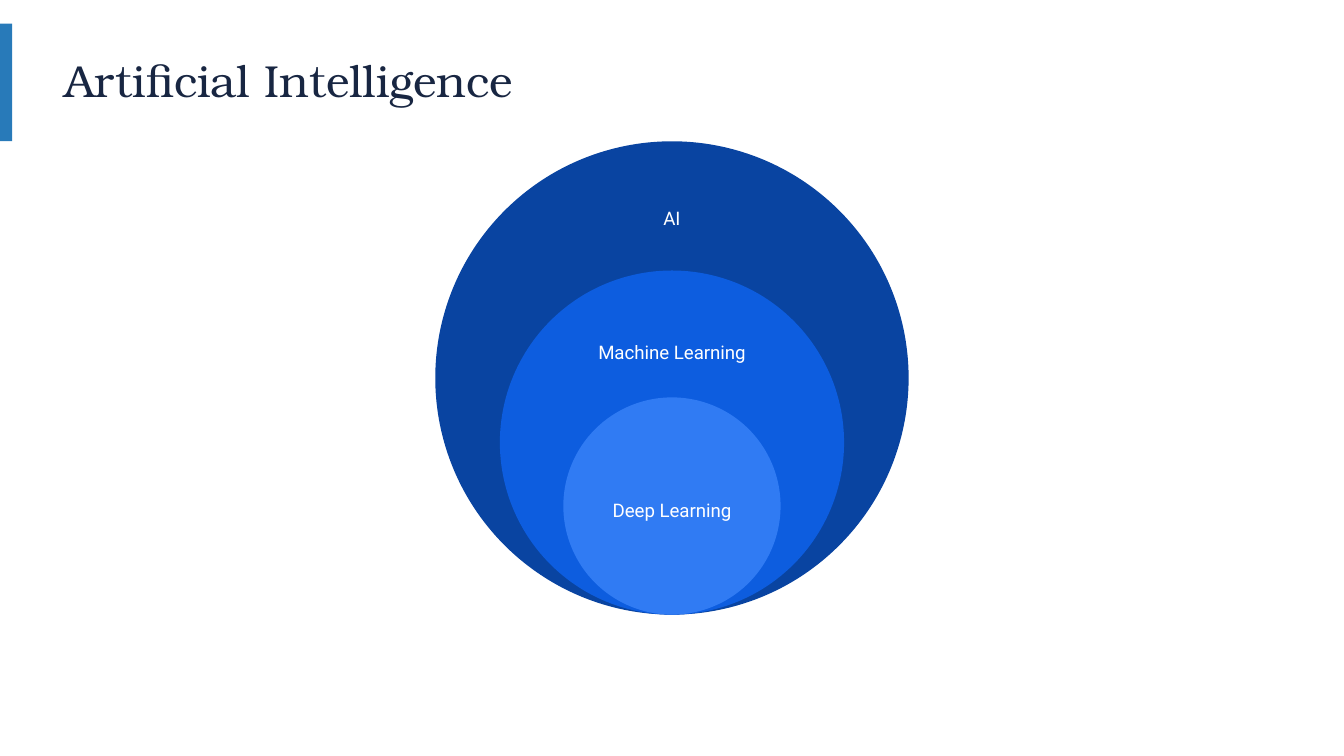
from dataclasses import dataclass

from pptx import Presentation
from pptx.dml.color import RGBColor
from pptx.enum.shapes import MSO_SHAPE
from pptx.enum.text import MSO_ANCHOR, PP_ALIGN
from pptx.util import Pt

RECTANGLE = MSO_SHAPE.RECTANGLE
OVAL = MSO_SHAPE.OVAL
MIDDLE = MSO_ANCHOR.MIDDLE
LEFT = PP_ALIGN.LEFT
CENTER = PP_ALIGN.CENTER


@dataclass(frozen=True)
class Theme:
    accent: str = "287AB9"
    title_color: str = "182642"
    label_color: str = "FFFFFF"
    outer: str = "0944A1"
    middle: str = "0D5DDF"
    inner: str = "307BF3"
    title_font: str = "TeX Gyre Bonum"
    label_font: str = "Roboto"
    title_size: float = 24
    label_size: float = 10


class SlideBuilder:
    def __init__(self, slide, theme):
        self.slide = slide
        self.theme = theme

    def filled_shape(self, kind, left, top, width, height, color):
        shape = self.slide.shapes.add_shape(kind, Pt(left), Pt(top), Pt(width), Pt(height))
        shape.shadow.inherit = False
        shape.fill.solid()
        shape.fill.fore_color.rgb = RGBColor.from_string(color)
        shape.line.fill.background()

    def circle(self, center, bottom, diameter, color):
        self.filled_shape(OVAL, center - diameter / 2, bottom - diameter, diameter, diameter, color)

    def text(self, content, left, top, width, height, inset, font, size, color, alignment):
        text_frame = self.slide.shapes.add_textbox(
            Pt(left), Pt(top), Pt(width), Pt(height)).text_frame
        text_frame.word_wrap = True
        text_frame.vertical_anchor = MIDDLE
        text_frame.margin_left = text_frame.margin_right = Pt(inset)
        text_frame.margin_top = text_frame.margin_bottom = Pt(inset)
        paragraph = text_frame.paragraphs[0]
        paragraph.text = content
        paragraph.alignment = alignment
        paragraph.font.name = font
        paragraph.font.size = Pt(size)
        paragraph.font.color.rgb = RGBColor.from_string(color)
        return paragraph

    def title(self, content):
        theme = self.theme
        paragraph = self.text(content, 29.5, 15.8, 661.7, 56.9, 5, theme.title_font,
                              theme.title_size, theme.title_color, LEFT)
        paragraph.line_spacing = 0.9

    def label(self, content, center, middle, width, height):
        theme = self.theme
        self.text(content, center - width / 2, middle - height / 2, width, height, 7.2,
                  theme.label_font, theme.label_size, theme.label_color, CENTER)


def main():
    presentation = Presentation()
    presentation.slide_width = Pt(720)
    presentation.slide_height = Pt(405)
    theme = Theme()
    slide = presentation.slides.add_slide(presentation.slide_layouts[6])
    builder = SlideBuilder(slide, theme)

    builder.filled_shape(RECTANGLE, 0, 12.6, 6.5, 63, theme.accent)
    builder.title("Artificial Intelligence")

    center, bottom = 360, 329.3
    rings = [
        ("AI", 253.6, theme.outer, 116.6, 124.6, 44.6),
        ("Machine Learning", 184.4, theme.middle, 188.6, 116.6, 41.8),
        ("Deep Learning", 116.4, theme.inner, 273.2, 97.2, 51.1),
    ]
    for name, diameter, color, label_middle, label_width, label_height in rings:
        builder.circle(center, bottom, diameter, color)
        builder.label(name, center, label_middle, label_width, label_height)

    presentation.save("out.pptx")


if __name__ == "__main__":
    main()
